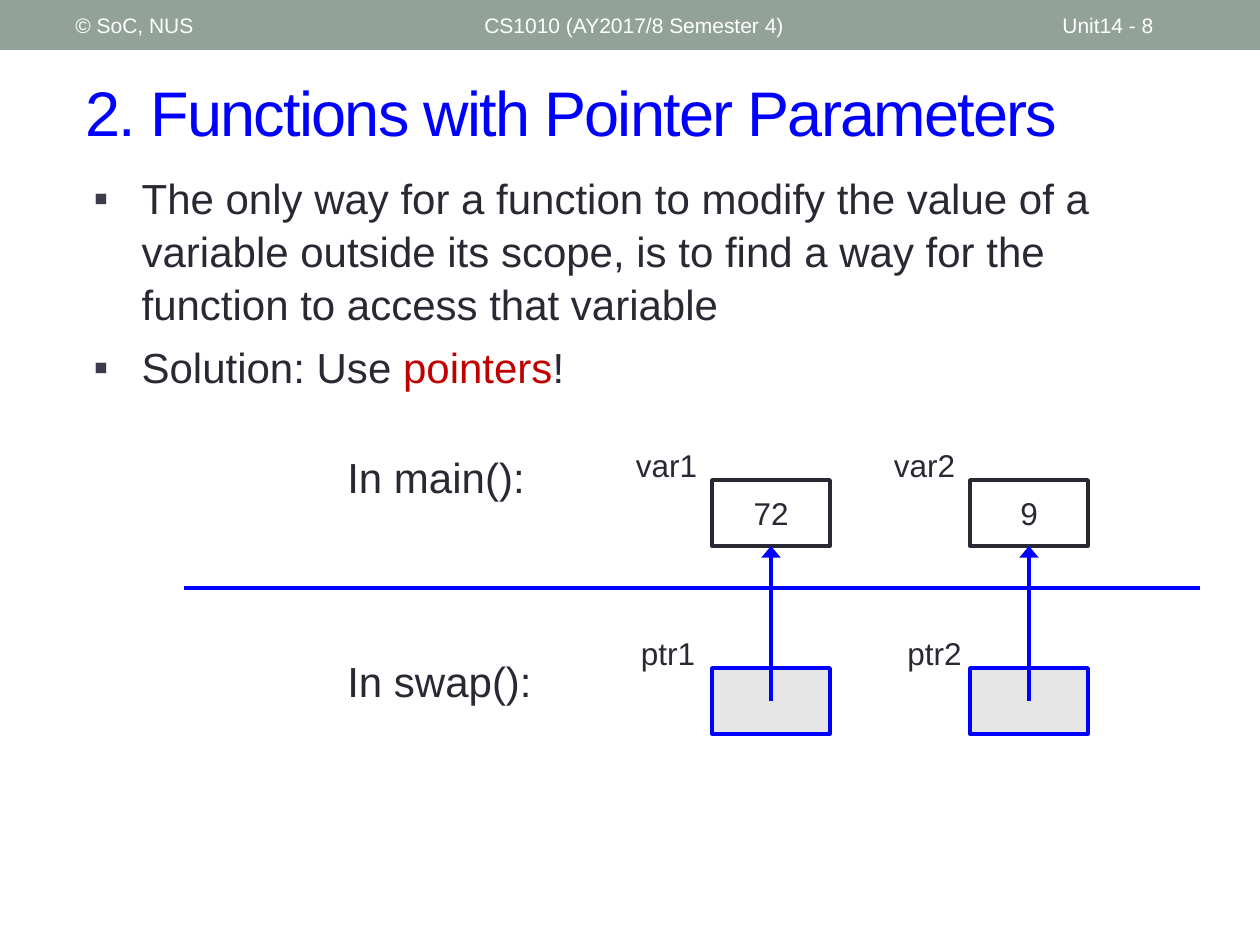
"""Build the slide on functions with pointer parameters."""
from dataclasses import dataclass
from typing import Optional

from lxml.etree import SubElement
from pptx import Presentation
from pptx.dml.color import RGBColor
from pptx.enum.shapes import MSO_CONNECTOR, MSO_SHAPE
from pptx.enum.text import MSO_ANCHOR, MSO_AUTO_SIZE, PP_ALIGN
from pptx.oxml.ns import qn
from pptx.util import Emu, Pt


@dataclass(frozen=True)
class Theme:
    font: str = "Arial"
    ink: str = "292934"
    blue: str = "0000FF"
    red: str = "C00000"
    white: str = "FFFFFF"
    band: str = "93A299"
    gray: str = "E6E6E6"
    mark: str = "3B3B4B"
    title: int = 36
    body: int = 24
    label: int = 18
    small: int = 12
    edge: float = 2.08
    rule: float = 2.25


@dataclass(frozen=True)
class Area:
    x: int
    y: int
    w: int
    h: int


@dataclass(frozen=True)
class Cell:
    area: Area
    name: str
    tag: Area
    value: str = ""


THEME = Theme()
SCALE = 914400 / 126
CELL_W, CELL_H = 118, 66

HEADS = [
    (Area(472, 3, 567, 45), "CS1010 (AY2017/8 Semester 4)"),
    (Area(1050, 3, 147, 45), "Unit14 - 8"),
    (Area(63, 3, 399, 45), "© SoC, NUS"),
]
SCOPES = [(Area(335, 445, 213, 63), "In main():"),
          (Area(335, 649, 213, 63), "In swap():")]
POINTS = [
    [("The only way for a function to modify the value of a variable outside "
      "its scope, is to find a way for the function to access that variable",
      THEME.ink)],
    [("Solution: Use ", THEME.ink), ("pointers", THEME.red), ("!", THEME.ink)],
]
PAIRS = [
    (Cell(Area(712, 480, CELL_W, CELL_H), "var1", Area(621, 440, 91, 50), "72"),
     Cell(Area(712, 668, CELL_W, CELL_H), "ptr1", Area(604, 628, 128, 50))),
    (Cell(Area(970, 480, CELL_W, CELL_H), "var2", Area(879, 440, 91, 50), "9"),
     Cell(Area(970, 668, CELL_W, CELL_H), "ptr2", Area(879, 628, 111, 50))),
]


def px(n: float) -> Emu:
    return Emu(round(n * SCALE))


def rgb(code: str) -> RGBColor:
    return RGBColor.from_string(code)


def dims(area: Area) -> tuple:
    return px(area.x), px(area.y), px(area.w), px(area.h)


def write(frame, runs, *, size: int, color: str = THEME.ink,
          align=PP_ALIGN.LEFT, anchor=MSO_ANCHOR.TOP, track: int = 0,
          line: Optional[float] = None, para=None):
    """Write a string, or a list of text and colour pairs, into one paragraph."""
    frame.word_wrap = True
    frame.auto_size = MSO_AUTO_SIZE.NONE
    frame.vertical_anchor = anchor
    para = para or frame.paragraphs[0]
    para.alignment = align
    if line:
        para.line_spacing = line
    for text, tint in [(runs, color)] if isinstance(runs, str) else runs:
        run = para.add_run()
        run.text = text
        run.font.name = THEME.font
        run.font.size = Pt(size)
        run.font.color.rgb = rgb(tint)
        if track:
            run.font._element.set("spc", str(track))
    return para


def label(slide, area: Area, text: str, **form) -> None:
    write(slide.shapes.add_textbox(*dims(area)).text_frame, text, **form)


def block(slide, area: Area, fill: Optional[str], edge: Optional[str] = None):
    shape = slide.shapes.add_shape(MSO_SHAPE.RECTANGLE, *dims(area))
    shape.shadow.inherit = False
    if fill:
        shape.fill.solid()
        shape.fill.fore_color.rgb = rgb(fill)
    else:
        shape.fill.background()
    if edge:
        shape.line.color.rgb = rgb(edge)
        shape.line.width = Pt(THEME.edge)
    else:
        shape.line.fill.background()
    return shape


def stroke(slide, x1: int, y1: int, x2: int, y2: int, goal=None) -> None:
    link = slide.shapes.add_connector(
        MSO_CONNECTOR.STRAIGHT, px(x1), px(y1), px(x2), px(y2))
    link.line.color.rgb = rgb(THEME.blue)
    link.line.width = Pt(THEME.rule)
    props = link._element.spPr
    if goal is not None:
        link.end_connect(goal, 2)
        SubElement(props.find(qn("a:ln")), qn("a:tailEnd"),
                   type="triangle", w="lg", len="med")
    SubElement(props, qn("a:effectLst"))


def bullet(para) -> None:
    props = para._p.get_or_add_pPr()
    props.set("marL", str(px(48)))
    props.set("indent", str(px(-48)))
    tint = SubElement(props, qn("a:buClr"))
    SubElement(tint, qn("a:srgbClr"), val=THEME.mark)
    SubElement(props, qn("a:buFont"), typeface=THEME.font)
    SubElement(props, qn("a:buChar"), char="▪")


def place(shape, area: Area):
    shape.left, shape.top, shape.width, shape.height = dims(area)
    return shape.text_frame


def cell(slide, item: Cell, fill: Optional[str], edge: str):
    shape = block(slide, item.area, fill, edge)
    if item.value:
        write(shape.text_frame, item.value, size=THEME.label,
              align=PP_ALIGN.CENTER, anchor=MSO_ANCHOR.MIDDLE)
    label(slide, item.tag, item.name, size=THEME.label, align=PP_ALIGN.CENTER)
    return shape


def main() -> None:
    deck = Presentation()
    deck.slide_width, deck.slide_height = px(1260), px(945)
    slide = deck.slides.add_slide(deck.slide_layouts[1])

    block(slide, Area(0, 0, 1260, 50), THEME.band)
    for area, text in HEADS:
        label(slide, area, text, size=THEME.small, color=THEME.white,
              anchor=MSO_ANCHOR.MIDDLE)

    write(place(slide.shapes.title, Area(73, 53, 1155, 116)),
          "2. Functions with Pointer Parameters", size=THEME.title,
          color=THEME.blue, anchor=MSO_ANCHOR.MIDDLE, track=-100)

    frame = place(slide.placeholders[1], Area(81, 164, 1134, 687))
    for i, runs in enumerate(POINTS):
        para = frame.add_paragraph() if i else frame.paragraphs[0]
        bullet(para)
        para.space_before = Pt(6 if i else 0)
        write(frame, runs, size=THEME.body, line=1.05, para=para)

    for area, text in SCOPES:
        label(slide, area, text, size=THEME.body)
    stroke(slide, 184, 588, 1200, 588)
    for var, ptr in PAIRS:
        goal = cell(slide, var, None, THEME.ink)
        cell(slide, ptr, THEME.gray, THEME.blue)
        mid = ptr.area.x + CELL_W // 2
        stroke(slide, mid, ptr.area.y + CELL_H // 2,
               mid, var.area.y + CELL_H, goal)

    deck.save("out.pptx")


if __name__ == "__main__":
    main()
